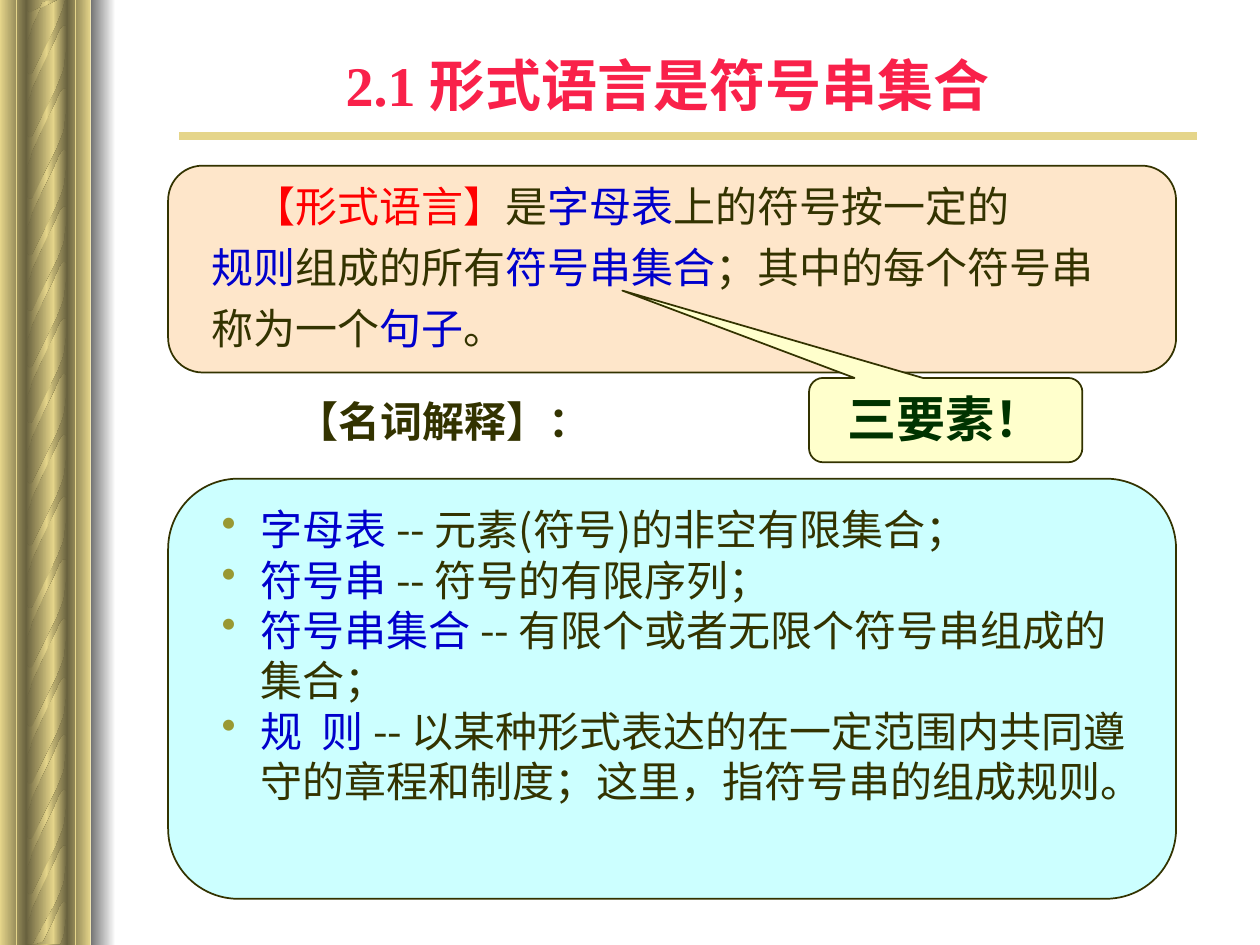
"""Build the slide that defines a formal language and its terms."""
import pptx
import pptx.util
import pptx.dml.color
import pptx.enum.shapes
import pptx.enum.text
import pptx.oxml.ns
from lxml import etree

Cm = pptx.util.Cm
Pt = pptx.util.Pt
RGB = pptx.dml.color.RGBColor
SHAPE = pptx.enum.shapes.MSO_SHAPE
ALIGN = pptx.enum.text.PP_ALIGN
ANCHOR = pptx.enum.text.MSO_ANCHOR
qn = pptx.oxml.ns.qn

GOLD, BRONZE = RGB(0xE5, 0xD5, 0x8A), RGB(0x69, 0x62, 0x3F)
WHITE, GREY = RGB(0xFF, 0xFF, 0xFF), RGB(0x75, 0x75, 0x75)
INK, BLUE, RED = RGB(0x33, 0x33, 0x00), RGB(0x00, 0x00, 0xCC), RGB(0xFF, 0x00, 0x00)
PINK, GREEN, OLIVE = RGB(0xF9, 0x21, 0x4A), RGB(0x00, 0x33, 0x00), RGB(0x99, 0x99, 0x33)
AQUA, PEACH, CREAM = RGB(0xCC, 0xFF, 0xFF), RGB(0xFE, 0xE6, 0xCA), RGB(0xFF, 0xFF, 0xCC)
SANS, SERIF = "Noto Sans CJK SC", "Times New Roman"

WIDTH, HEIGHT = 25.4, 19.05
TITLE = [[("2.1 形式语言是符号串集合", PINK)]]
DEFINITION = [
    [("【形式语言】", RED), ("是", INK), ("字母表", BLUE), ("上的符号按一定的", INK)],
    [("规则", BLUE), ("组成的所有", INK), ("符号串集合", BLUE), ("；其中的每个符号串", INK)],
    [("称为一个", INK), ("句子", BLUE), ("。", INK)],
]
HEADING = [[("【名词解释】：", INK)]]
CALLOUT = [[("三要素！", GREEN)]]
TERMS = [
    ("字母表", "元素(符号)的非空有限集合；"),
    ("符号串", "符号的有限序列；"),
    ("符号串集合", "有限个或者无限个符号串组成的集合；"),
    ("规  则", "以某种形式表达的在一定范围内共同遵守的章程和制度；这里，指符号串的组成规则。"),
]

COLUMN = [
    (0, 0.53, (BRONZE, GOLD)),
    (0.53, 0.55, (GOLD, BRONZE)),
    (1.07, 0.28, (BRONZE, GOLD)),
    (1.35, 0.48, (GOLD, BRONZE)),
    (1.83, 0.5, (WHITE, GREY)),
]
STRAND = [
    (1.35, 0.23), (1.35, 0.84), (1.32, 0.81), (1.27, 0.81), (1.24, 0.84), (1.19, 0.91),
    (1.09, 1.14), (0.86, 1.6), (0.64, 2.08), (0.61, 2.21), (0.56, 2.34), (0.56, 2.57),
    (0.53, 2.84), (0.53, 1.6), (0.53, 1.73), (0.56, 1.78), (0.58, 1.8), (0.64, 1.8),
    (0.66, 1.78), (1.14, 0.81), (1.22, 0.61), (1.27, 0.48), (1.3, 0.36), (1.32, 0.15),
    (1.35, 0), (1.35, 0.51),
]
STRAND_TOPS = [-1.55, -0.3, 0.97, 2.21, 3.35, 4.47, 5.61, 6.73, 7.95,
               9.2, 10.46, 11.66, 12.85, 14, 15.11, 16.23, 17.37, 18.44]
RULES = [(0.33, 0, 0.33, HEIGHT, 1), (1.52, 0, 1.52, HEIGHT, 1), (3.61, 2.74, 24.13, 2.74, 4.5)]


def paint_gradient(sp, colors):
    sp.shadow.inherit = False
    sp.line.fill.background()
    sp.fill.gradient()
    sp.fill.gradient_angle = 180
    stops = sp._element.spPr.find(".//" + qn("a:gsLst"))
    for gs in list(stops):
        stops.remove(gs)
    for i, color in enumerate(colors):
        gs = etree.SubElement(stops, qn("a:gs"), pos=str(100000 * i // (len(colors) - 1)))
        etree.SubElement(gs, qn("a:srgbClr"), val=str(color))


def add_panel(s, kind, box, color, adjustments):
    sp = s.shapes.add_shape(kind, *map(Cm, box))
    sp.shadow.inherit = False
    sp.fill.solid()
    sp.fill.fore_color.rgb = color
    sp.line.color.rgb = INK
    sp.line.width = Pt(1)
    for i, value in enumerate(adjustments):
        sp.adjustments[i] = value
    return sp


def write(tf, paragraphs, size=24, font=SANS, bold=False, align=ALIGN.LEFT,
          anchor=ANCHOR.TOP, before=0, first_indent=0, bullet=None):
    tf.word_wrap = True
    tf.vertical_anchor = anchor
    for i, runs in enumerate(paragraphs):
        p = tf.paragraphs[0] if i == 0 else tf.add_paragraph()
        p.alignment = align
        p.space_before = Pt(before)
        pPr = p._p.get_or_add_pPr()
        if bullet:
            pPr.set("marL", str(Cm(2.06)))
            pPr.set("indent", str(Cm(-0.79)))
            color = etree.SubElement(pPr, qn("a:buClr"))
            etree.SubElement(color, qn("a:srgbClr"), val=str(OLIVE))
            etree.SubElement(pPr, qn("a:buChar"), char=bullet)
        elif i == 0 and first_indent:
            pPr.set("indent", str(Cm(first_indent)))
        for text, color in runs:
            r = p.add_run()
            r.text = text
            r.font.size = Pt(size)
            r.font.bold = bold
            r.font.name = font
            r.font.color.rgb = color
            etree.SubElement(r._r.get_or_add_rPr(), qn("a:ea"), typeface=SANS)


def add_text(s, box, paragraphs, **style):
    write(s.shapes.add_textbox(*map(Cm, box)).text_frame, paragraphs, **style)


def draw_column(s):
    for left, width, colors in COLUMN:
        sp = s.shapes.add_shape(SHAPE.RECTANGLE, Cm(left), 0, Cm(width), Cm(HEIGHT))
        paint_gradient(sp, colors)
    for top in STRAND_TOPS:
        points = [(Cm(x), Cm(min(max(top + y, 0), HEIGHT))) for x, y in STRAND]
        builder = s.shapes.build_freeform(*points[0])
        builder.add_line_segments(points[1:])
        paint_gradient(builder.convert_to_shape(), (BRONZE, GOLD, BRONZE))


def draw_rules(s):
    for x1, y1, x2, y2, weight in RULES:
        line = s.shapes.add_connector(
            pptx.enum.shapes.MSO_CONNECTOR.STRAIGHT, Cm(x1), Cm(y1), Cm(x2), Cm(y2))
        line.line.color.rgb = GOLD
        line.line.width = Pt(weight)
        etree.SubElement(line._element.spPr, qn("a:effectLst"))


def main():
    prs = pptx.Presentation()
    prs.slide_width, prs.slide_height = Cm(WIDTH), Cm(HEIGHT)
    s = prs.slides.add_slide(prs.slide_layouts[6])
    draw_column(s)
    draw_rules(s)
    add_panel(s, SHAPE.ROUNDED_RECTANGLE, (3.39, 9.65, 20.32, 8.47), AQUA, [0.167])
    add_panel(s, SHAPE.ROUNDED_RECTANGLE, (3.39, 3.34, 20.32, 4.17), PEACH, [0.167])
    terms = [[(term + " ", BLUE), ("-- " + meaning, INK)] for term, meaning in TERMS]
    add_text(s, (2.95, 10.03, 20.11, 7.44), terms, bullet="•")
    add_text(s, (3.23, 0.53, 20.47, 2.34), TITLE, size=32, font=SERIF, bold=True,
             align=ALIGN.CENTER, anchor=ANCHOR.MIDDLE)
    add_text(s, (4.01, 3.51, 19.05, 4.01), DEFINITION, before=6, first_indent=0.85)
    add_text(s, (5.72, 7.85, 7.19, 1.27), HEADING, bold=True, before=15)
    sp = add_panel(s, SHAPE.ROUNDED_RECTANGULAR_CALLOUT, (16.31, 7.62, 5.51, 1.7), CREAM,
                   [-1.183, -1.536, 0.167])
    write(sp.text_frame, CALLOUT, size=28, font=SERIF, bold=True, align=ALIGN.CENTER)
    prs.save("out.pptx")


if __name__ == "__main__":
    main()
